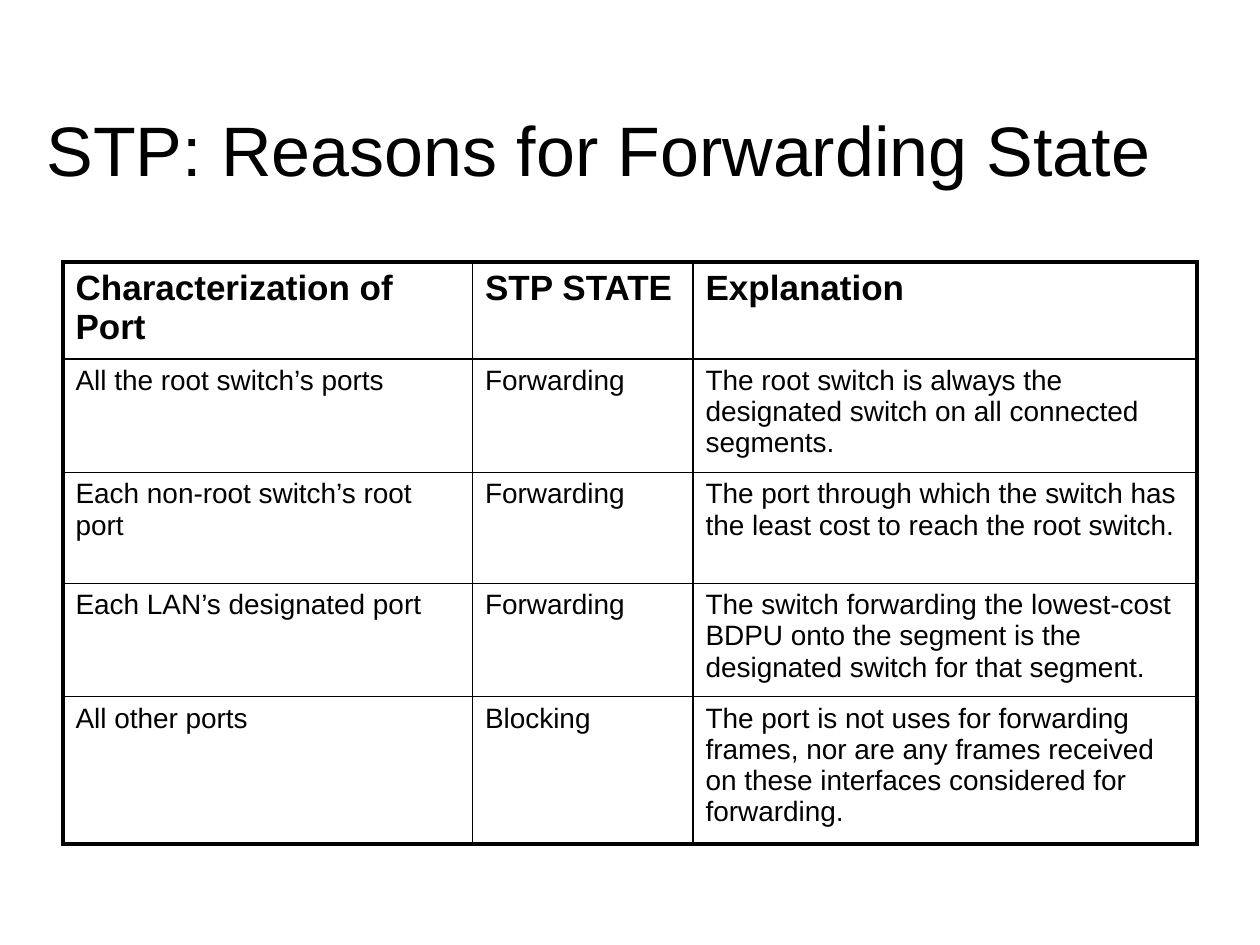
from lxml.etree import SubElement
from pptx import Presentation
from pptx.dml.color import RGBColor
from pptx.enum.text import MSO_ANCHOR, PP_ALIGN
from pptx.oxml.ns import qn
from pptx.util import Inches, Pt

COLOURS = {"ink": "000000"}
FONT = "Arial"
THIN, THICK = 1, 2.25

COLUMN_WIDTHS = [3.25, 1.75, 4]
ROW_HEIGHTS = [0.77, 0.9, 0.88, 0.9, 1.17]
ROWS = [
    ["Characterization of Port", "STP STATE", "Explanation"],
    ["All the root switch’s ports", "Forwarding",
     "The root switch is always the designated switch on all connected segments."],
    ["Each non-root switch’s root port", "Forwarding",
     "The port through which the switch has the least cost to reach the root switch."],
    ["Each LAN’s designated port", "Forwarding",
     "The switch forwarding the lowest-cost BDPU onto the segment is the "
     "designated switch for that segment."],
    ["All other ports", "Blocking",
     "The port is not uses for forwarding frames, nor are any frames received "
     "on these interfaces considered for forwarding."],
]


def write(frame, text, size, bold=False, align=PP_ALIGN.LEFT):
    """Put one formatted paragraph into a text frame."""
    frame.word_wrap = True
    para = frame.paragraphs[0]
    para.alignment = align
    span = para.add_run()
    span.text = text
    span.font.name = FONT
    span.font.size = Pt(size)
    span.font.bold = bold
    span.font.color.rgb = RGBColor.from_string(COLOURS["ink"])


def set_border(cell, side, width):
    """Draw one side of a cell; call in the order L, R, T, B."""
    properties = cell._tc.get_or_add_tcPr()
    line = SubElement(properties, qn(f"a:ln{side}"), w=str(Pt(width)))
    fill = SubElement(line, qn("a:solidFill"))
    SubElement(fill, qn("a:srgbClr"), val=COLOURS["ink"])


def add_title(page, left, top, width, height):
    box = page.shapes.add_textbox(Inches(left), Inches(top), Inches(width), Inches(height))
    box.text_frame.vertical_anchor = MSO_ANCHOR.MIDDLE
    write(box.text_frame, "STP: Reasons for Forwarding State", size=40, align=PP_ALIGN.CENTER)


def add_state_table(page, left, top, width, height):
    last_row, last_column = len(ROWS) - 1, len(COLUMN_WIDTHS) - 1
    table = page.shapes.add_table(
        len(ROWS), len(COLUMN_WIDTHS),
        Inches(left), Inches(top), Inches(width), Inches(height)).table
    table.first_row = table.horz_banding = False

    # Columns and rows share the box in proportion
    for column, share in zip(table.columns, COLUMN_WIDTHS):
        column.width = Inches(width * share / sum(COLUMN_WIDTHS))
    for row, share in zip(table.rows, ROW_HEIGHTS):
        row.height = Inches(height * share / sum(ROW_HEIGHTS))

    # Cells: bold header, thick outer frame, thin inner grid
    for r, texts in enumerate(ROWS):
        for c, text in enumerate(texts):
            cell = table.cell(r, c)
            header = r == 0
            write(cell.text_frame, text, size=20 if header else 16, bold=header)
            outer = {"L": c == 0, "R": c == last_column, "T": header, "B": r == last_row}
            for side, is_outer in outer.items():
                set_border(cell, side, THICK if is_outer else THIN)
            cell.fill.background()


def main():
    deck = Presentation()
    deck.slide_width, deck.slide_height = Inches(10), Inches(7.5)
    page = deck.slides.add_slide(deck.slide_layouts[6])
    add_title(page, 0.25, 0.83, 9, 0.7)
    add_state_table(page, 0.5, 2.08, 9, 4.62)
    deck.save("out.pptx")


if __name__ == "__main__":
    main()
